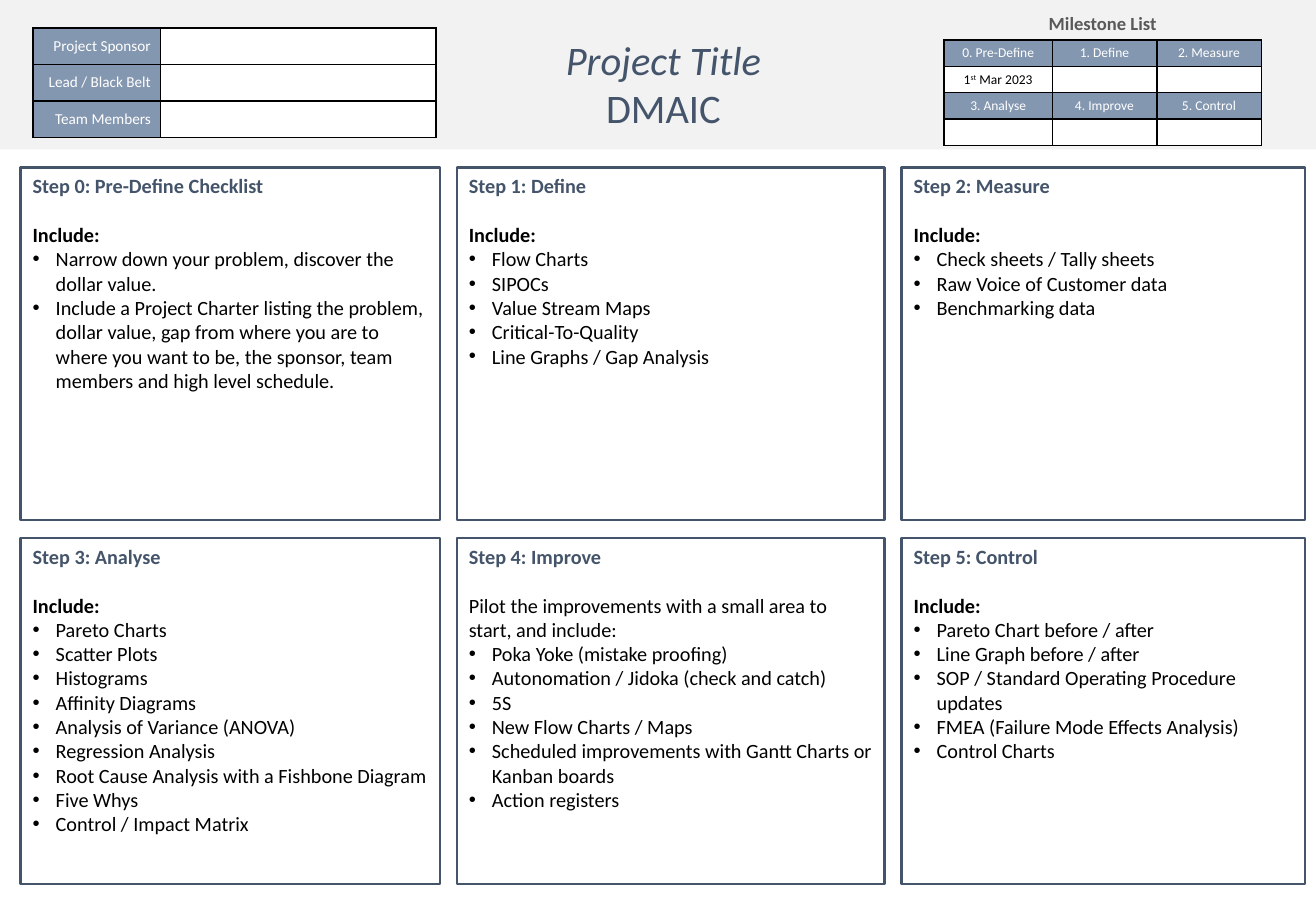
import pptx
import pptx.util
import pptx.dml.color
import pptx.enum.shapes
import pptx.enum.text
import pptx.oxml.ns
from lxml import etree

Inches = pptx.util.Inches
ALIGN = pptx.enum.text.PP_ALIGN
ANCHOR = pptx.enum.text.MSO_ANCHOR

# Content
TITLE = [("Project Title", True), ("DMAIC", False)]
TEAM_ROWS = [("Project Sponsor", ""), ("Lead / Black Belt", ""), ("Team Members", "")]
MILESTONE_TITLE = "Milestone List"
START_DATE = ("1", "st", " Mar 2023")  # the middle part is raised
MILESTONE_ROWS = [
    ("0. Pre-Define", "1. Define", "2. Measure"),
    (START_DATE, "", ""),
    ("3. Analyse", "4. Improve", "5. Control"),
    ("", "", ""),
]
INCLUDE = "Include:"
STEPS = [
    ("Step 0: Pre-Define Checklist", INCLUDE, [
        "Narrow down your problem, discover the dollar value.",
        "Include a Project Charter listing the problem, dollar value, gap from where "
        "you are to where you want to be, the sponsor, team members and high level schedule."]),
    ("Step 1: Define", INCLUDE, [
        "Flow Charts", "SIPOCs", "Value Stream Maps", "Critical-To-Quality",
        "Line Graphs / Gap Analysis"]),
    ("Step 2: Measure", INCLUDE, [
        "Check sheets / Tally sheets", "Raw Voice of Customer data", "Benchmarking data"]),
    ("Step 3: Analyse", INCLUDE, [
        "Pareto Charts", "Scatter Plots", "Histograms", "Affinity Diagrams",
        "Analysis of Variance (ANOVA)", "Regression Analysis",
        "Root Cause Analysis with a Fishbone Diagram", "Five Whys",
        "Control / Impact Matrix"]),
    ("Step 4: Improve", "Pilot the improvements with a small area to start, and include:", [
        "Poka Yoke (mistake proofing)", "Autonomation / Jidoka (check and catch)", "5S",
        "New Flow Charts / Maps",
        "Scheduled improvements with Gantt Charts or Kanban boards", "Action registers"]),
    ("Step 5: Control", INCLUDE, [
        "Pareto Chart before / after", "Line Graph before / after",
        "SOP / Standard Operating Procedure updates",
        "FMEA (Failure Mode Effects Analysis)", "Control Charts"]),
]

# Style and grid, in inches
FONT = "Calibri"
COLORS = {"band": "F2F2F2", "navy": "44546A", "label": "8497B0", "white": "FFFFFF",
          "black": "000000", "gray": "595959"}
SLIDE_WIDTH, SLIDE_HEIGHT = 10.83, 7.5
BAND_HEIGHT = 1.23
STEP_LEFT, STEP_TOP = 0.17, 1.38
STEP_WIDTHS, STEP_HEIGHTS = (3.45, 3.52, 3.32), (2.9, 2.85)
COLUMN_GAP, ROW_GAP = 0.14, 0.15
BULLET_INDENT = Inches(0.19)


def rgb(name):
    return pptx.dml.color.RGBColor.from_string(COLORS[name])


def add_text(paragraph, text, size=12, color="black", bold=False, italic=False,
             align=ALIGN.LEFT, raised=False, bullet=False, space_before=0):
    properties = paragraph._p.get_or_add_pPr()
    if bullet:
        properties.set("marL", str(BULLET_INDENT))
        properties.set("indent", str(-BULLET_INDENT))
        for tag, key, value in (("a:buFont", "typeface", "Arial"), ("a:buChar", "char", "•")):
            etree.SubElement(properties, pptx.oxml.ns.qn(tag)).set(key, value)
    paragraph.alignment = align
    if space_before:
        paragraph.space_before = pptx.util.Pt(space_before)
    if not text:
        paragraph._p.get_or_add_endParaRPr().set("sz", str(size * 100))
        return
    run = paragraph.add_run()
    run.text = text
    run.font.name, run.font.size = FONT, pptx.util.Pt(size)
    run.font.bold, run.font.italic = bold, italic
    run.font.color.rgb = rgb(color)
    if raised:
        run.font._element.set("baseline", "30000")


def add_box(slide, left, top, width, height, fill, line=None):
    shape = slide.shapes.add_shape(pptx.enum.shapes.MSO_SHAPE.RECTANGLE,
                                   Inches(left), Inches(top), Inches(width), Inches(height))
    shape.shadow.inherit = False
    shape.fill.solid()
    shape.fill.fore_color.rgb = rgb(fill)
    if line:
        shape.line.color.rgb = rgb(line)
        shape.line.width = pptx.util.Pt(1.5)
    else:
        shape.line.fill.background()
    return shape


def add_grid(slide, left, top, widths, heights):
    table = slide.shapes.add_table(len(heights), len(widths), Inches(left), Inches(top),
                                   Inches(sum(widths)), Inches(sum(heights))).table
    table.first_row = table.horz_banding = False
    for column, width in zip(table.columns, widths):
        column.width = Inches(width)
    for row, height in zip(table.rows, heights):
        row.height = Inches(height)
    return table


def format_cell(cell, insets, fill=None, borders="LRTB"):
    """Draw the named sides in black, hide the others, then fill."""
    properties = cell._tc.get_or_add_tcPr()
    for side in "LRTB":
        line = etree.SubElement(properties, pptx.oxml.ns.qn(f"a:ln{side}"), w="12700")
        if side in borders:
            solid = etree.SubElement(line, pptx.oxml.ns.qn("a:solidFill"))
            etree.SubElement(solid, pptx.oxml.ns.qn("a:srgbClr"), val=COLORS["black"])
        else:
            etree.SubElement(line, pptx.oxml.ns.qn("a:noFill"))
    if fill:
        cell.fill.solid()
        cell.fill.fore_color.rgb = rgb(fill)
    else:
        cell.fill.background()
    cell.vertical_anchor = ANCHOR.MIDDLE
    (cell.margin_left, cell.margin_top,
     cell.margin_right, cell.margin_bottom) = map(Inches, insets)


def add_title(slide):
    title = slide.shapes.title
    title.left, title.top, title.width, title.height = map(Inches, (4.54, 0.23, 1.84, 0.91))
    frame = title.text_frame
    frame.word_wrap = False
    frame.auto_size = pptx.enum.text.MSO_AUTO_SIZE.NONE
    frame.vertical_anchor = ANCHOR.MIDDLE
    for index, (text, italic) in enumerate(TITLE):
        paragraph = frame.add_paragraph() if index else frame.paragraphs[0]
        add_text(paragraph, text, size=24, color="navy", italic=italic, align=ALIGN.CENTER)


def add_team_table(slide):
    table = add_grid(slide, 0.27, 0.23, (1.05, 2.27), (0.3,) * len(TEAM_ROWS))
    for row, texts in enumerate(TEAM_ROWS):
        for column, text in enumerate(texts):
            cell = table.cell(row, column)
            format_cell(cell, (0.02, 0.02, 0.08, 0.02), "white" if column else "label")
            add_text(cell.text_frame.paragraphs[0], text, size=9, color="white",
                     align=ALIGN.RIGHT)


def add_milestone_table(slide):
    insets = (0.04,) * 4
    table = add_grid(slide, 7.77, 0.06, (0.89, 0.86, 0.86),
                     (0.27,) + (0.21,) * len(MILESTONE_ROWS))
    table.cell(0, 0).merge(table.cell(0, 2))
    for column in range(3):
        format_cell(table.cell(0, column), insets, borders="B")
    add_text(table.cell(0, 0).text_frame.paragraphs[0], MILESTONE_TITLE, size=11,
             color="gray", bold=True, align=ALIGN.CENTER)
    for row, texts in enumerate(MILESTONE_ROWS):
        is_label = row % 2 == 0
        for column, text in enumerate(texts):
            cell = table.cell(row + 1, column)
            format_cell(cell, insets, "label" if is_label else "white")
            parts = text if isinstance(text, tuple) else (text,)
            for index, part in enumerate(parts):
                add_text(cell.text_frame.paragraphs[0], part, size=8, raised=index == 1,
                         color="white" if is_label else "black", align=ALIGN.CENTER)


def add_step(slide, index, heading, lead, items):
    row, column = divmod(index, len(STEP_WIDTHS))
    left = STEP_LEFT + sum(STEP_WIDTHS[:column]) + column * COLUMN_GAP
    top = STEP_TOP + sum(STEP_HEIGHTS[:row]) + row * ROW_GAP
    box = add_box(slide, left, top, STEP_WIDTHS[column], STEP_HEIGHTS[row], "white", "navy")
    frame = box.text_frame
    frame.word_wrap = True
    frame.vertical_anchor = ANCHOR.TOP
    add_text(frame.paragraphs[0], heading, color="navy", bold=True)
    add_text(frame.add_paragraph(), lead, bold=lead == INCLUDE, space_before=14.5)
    for item in items:
        add_text(frame.add_paragraph(), item, bullet=True)


def main():
    presentation = pptx.Presentation()
    presentation.slide_width = Inches(SLIDE_WIDTH)
    presentation.slide_height = Inches(SLIDE_HEIGHT)
    slide = presentation.slides.add_slide(presentation.slide_layouts[5])

    # Header band goes behind the title
    band = add_box(slide, 0, 0, SLIDE_WIDTH, BAND_HEIGHT, "band")
    slide.shapes.title._element.addprevious(band._element)
    add_title(slide)
    add_team_table(slide)
    add_milestone_table(slide)

    # Step boxes
    for index, step in enumerate(STEPS):
        add_step(slide, index, *step)
    presentation.save("out.pptx")


if __name__ == "__main__":
    main()
